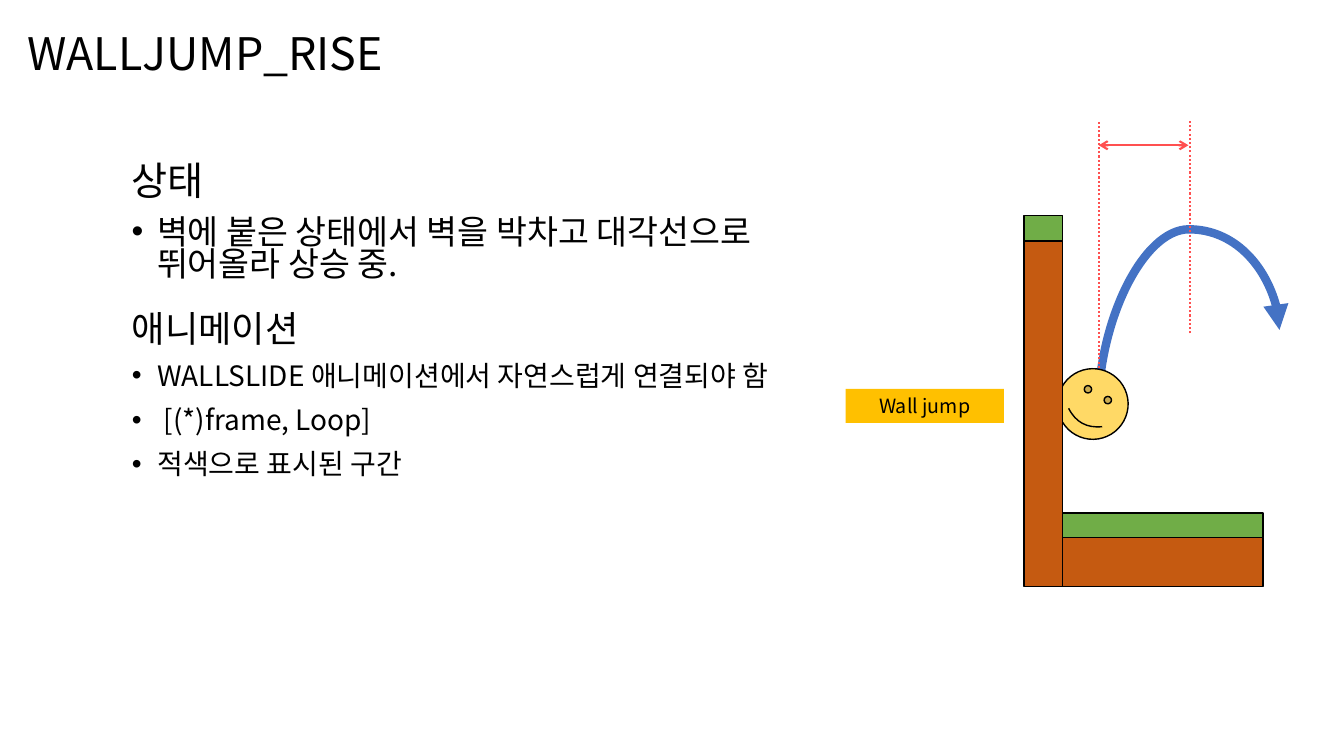
from pptx import Presentation
from pptx import util as u
from pptx.dml.color import RGBColor
from pptx.enum import dml, shapes, text
from pptx.oxml.ns import qn
from lxml import etree

Cm = u.Cm
FONT = "Noto Sans CJK KR"
BLACK = RGBColor(0, 0, 0)
GREEN = RGBColor(0x70, 0xAD, 0x47)
BROWN = RGBColor(0xC5, 0x5A, 0x11)
SKIN = RGBColor(0xFF, 0xD9, 0x66)
GOLD = RGBColor(0xFF, 0xC0, 0x00)
RED = RGBColor(0xFF, 0x50, 0x50)
BLUE = RGBColor(0x44, 0x72, 0xC4)
RECT = shapes.MSO_SHAPE.RECTANGLE
FACE = shapes.MSO_SHAPE.SMILEY_FACE
LINE = shapes.MSO_CONNECTOR.STRAIGHT
CURVE = shapes.MSO_CONNECTOR.CURVE
LEFT = text.PP_ALIGN.LEFT


def tag(node, label, **attrs):
    return etree.SubElement(node, qn(label), attrs)


def place(item, left, top, width, height):
    item.left, item.top = Cm(left), Cm(top)
    item.width, item.height = Cm(width), Cm(height)


def write(frame, lines, size, gap=None, dot=False, align=LEFT):
    frame.word_wrap = True
    frame.auto_size = text.MSO_AUTO_SIZE.NONE
    for i, words in enumerate(lines):
        para = frame.paragraphs[0] if i == 0 else frame.add_paragraph()
        if dot:
            props = para._p.get_or_add_pPr()
            props.set("marL", str(Cm(0.64)))
            props.set("indent", str(-Cm(0.64)))
            tag(props, "a:buFont", typeface="Arial")
            tag(props, "a:buChar", char="•")
        para.alignment = align
        para.space_before = u.Pt(10 if i else 0)
        if gap:
            para.line_spacing = gap
        run = para.add_run()
        run.text = words
        run.font.name = FONT
        run.font.size = u.Pt(size)
        run.font.color.rgb = BLACK
        tag(run._r.get_or_add_rPr(), "a:ea", typeface=FONT)


def block(slide, kind, fill, left, top, width, height, edge=True):
    item = slide.shapes.add_shape(kind, Cm(left), Cm(top), Cm(width), Cm(height))
    item.shadow.inherit = False
    item.fill.solid()
    item.fill.fore_color.rgb = fill
    if edge:
        item.line.color.rgb = BLACK
        item.line.width = u.Pt(1)
    else:
        item.line.fill.background()
    return item


def link(slide, kind, start, end, color, width, dash=None, head=None, tail=None):
    item = slide.shapes.add_connector(kind, *map(Cm, start + end))
    item.line.color.rgb = color
    item.line.width = u.Pt(width)
    if dash:
        item.line.dash_style = dash
    props = item._element.spPr
    edge = props.find(qn("a:ln"))
    for side, tip in (("a:headEnd", head), ("a:tailEnd", tail)):
        if tip:
            tag(edge, side, type=tip)
    tag(props, "a:effectLst")
    return item


def title(slide, left, top, width, height):
    item = slide.shapes.title
    place(item, left, top, width, height)
    item.text_frame.vertical_anchor = text.MSO_ANCHOR.MIDDLE
    write(item.text_frame, ["WALLJUMP_RISE"], 32, 0.9)


def notes(slide, left, top):
    parts = (
        (0, 2.72, 1.37, "상태", 28, 0.9, False),
        (1.45, 19.28, 2.06, "벽에 붙은 상태에서 벽을 박차고 대각선으로 뛰어올라 상승 중.", 24, 0.8, True),
        (3.96, 5.16, 1.09, "애니메이션", 25.9, 0.7, False),
    )
    for drop, width, height, words, size, gap, dot in parts:
        box = slide.shapes.add_textbox(Cm(left), Cm(top + drop), Cm(width), Cm(height))
        write(box.text_frame, [words], size, gap, dot)
    body = slide.placeholders[1]
    place(body, left, top + 5.05, 18.08, 4.37)
    lines = [
        "WALLSLIDE 애니메이션에서 자연스럽게 연결되야 함",
        " [(*)frame, Loop]",
        "적색으로 표시된 구간",
    ]
    write(body.text_frame, lines, 20, 0.9, True)


def jump(slide, left, top, width, height):
    arc = link(slide, CURVE, (left + width, top + height), (left, top), BLUE, 6, tail="triangle")
    props = arc._element.spPr
    props.find(qn("a:xfrm")).set("rot", "5400000")
    geom = props.find(qn("a:prstGeom"))
    guide = geom.find(qn("a:avLst"))
    if guide is None:
        guide = tag(geom, "a:avLst")
    tag(guide, "a:gd", name="adj1", fmla="val 223100")


def ground(slide, left, top, width, grass, soil):
    block(slide, RECT, GREEN, left, top, width, grass)
    block(slide, RECT, BROWN, left, top + grass, width, soil)


def scene(slide, left, top):
    jump(slide, left + 3.12, top + 4.04, 2.06, 4.57)
    ground(slide, left + 0.97, top + 9.91, 5.05, 0.62, 1.23)
    face = block(slide, FACE, SKIN, left + 0.84, top + 6.27, 1.78, 1.78)
    face.rotation = 28.6
    ground(slide, left, top + 2.41, 0.97, 0.64, 8.71)
    near, far = left + 1.88, left + 4.19
    for x, drop in ((near, 6.25), (far, 5.38)):
        link(slide, LINE, (x, top + drop), (x, top), RED, 1.5,
             dml.MSO_LINE.ROUND_DOT)
    link(slide, LINE, (far - 0.05, top + 0.64), (near, top + 0.64), RED, 1.5,
         head="arrow", tail="arrow")


def label(slide, left, top, width, height):
    item = block(slide, RECT, GOLD, left, top, width, height, False)
    item.text_frame.vertical_anchor = text.MSO_ANCHOR.MIDDLE
    write(item.text_frame, ["Wall jump"], 14, align=text.PP_ALIGN.CENTER)


def main():
    deck = Presentation()
    deck.slide_width, deck.slide_height = Cm(33.87), Cm(19.05)
    slide = deck.slides.add_slide(deck.slide_layouts[1])
    title(slide, 0.43, 0.38, 29.21, 2.06)
    notes(slide, 3.07, 3.94)
    scene(slide, 25.81, 3.02)
    label(slide, 21.31, 9.8, 3.99, 0.86)
    deck.save("out.pptx")


if __name__ == "__main__":
    main()
